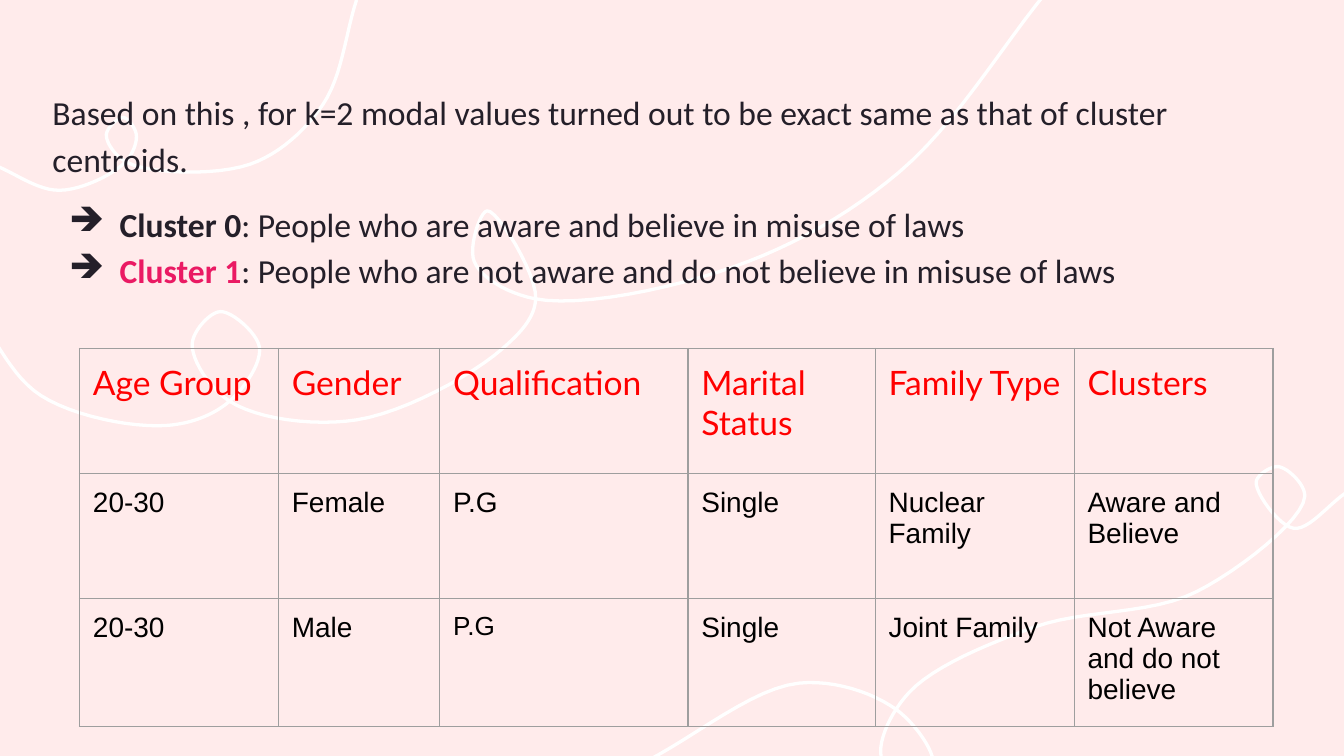
from math import dist
from lxml.etree import SubElement
from pptx import Presentation
from pptx.dml.color import RGBColor
from pptx.enum.text import MSO_ANCHOR
from pptx.oxml.ns import qn
from pptx.util import Pt

INK, PINK, RED, BLACK = "241F29", "EA1A63", "FF0000", "000000"
BACKGROUND, WHITE, GREY = "FFEBEB", "FFFFFF", "9E9E9E"

# Each paragraph: bulleted, space before, runs of (text, bold, colour)
PARAGRAPHS = [
    (False, 0, [("Based on this , for k=2 modal values turned out to be exact "
                 "same as that of cluster centroids.", False, INK)]),
    (True, 10, [("Cluster 0", True, INK),
                (": People who are aware and believe in misuse of laws", False, INK)]),
    (True, 0, [("Cluster 1", True, PINK),
               (": People who are not aware and do not believe in misuse of laws",
                False, INK)]),
]

COLUMN_WIDTHS = [106.6, 86.4, 133, 100.3, 106.6, 106.6]
ROW_HEIGHT = 67
ROWS = [
    ["Age Group", "Gender", "Qualification", "Marital Status", "Family Type", "Clusters"],
    ["20-30", "Female", "P.G", "Single", "Nuclear\nFamily", "Aware and Believe"],
    ["20-30", "Male", "P.G", "Single", "Joint Family", "Not Aware and do not believe"],
]
SMALLER_CELL = (2, 2)

# Looping lines: the points each smooth line passes through
CURVES = [
    [(-13, 168), (22, 212), (89, 228), (123, 215), (139, 186), (118, 167), (103, 184),
     (123, 215), (191, 225), (269, 187), (287, 160), (261, 113), (254, 140),
     (286, 160), (393, 143), (482, 92), (562, -6)],
    [(191, 0), (173, 56), (134, 88), (68, 87), (57, 72), (66, 63), (73, 72),
     (67, 87), (32, 102), (-4, 88)],
    [(721, 264), (693, 283), (673, 258), (685, 250), (699, 266), (641, 317), (554, 336),
     (487, 371), (472, 405), (487, 421), (500, 410), (480, 380), (428, 366), (346, 408)],
]
STEPS = 12


def color(value):
    return RGBColor.from_string(value)


def add_run(paragraph, text, size, font_name, font_color, bold=False):
    run = paragraph.add_run()
    run.text = text
    run.font.size = Pt(size)
    run.font.name = font_name
    run.font.bold = bold
    run.font.color.rgb = color(font_color)


def add_bullet(paragraph):
    properties = paragraph._p.get_or_add_pPr()
    properties.set("marL", str(Pt(36)))
    properties.set("indent", str(Pt(-27)))
    bullet_color = SubElement(properties, qn("a:buClr"))
    SubElement(bullet_color, qn("a:srgbClr"), val=INK)
    SubElement(properties, qn("a:buChar"), char="➔")


def reflect(point, center):
    return tuple(2 * c - p for p, c in zip(point, center))


def smooth(points):
    """Centripetal Catmull-Rom spline through the points."""
    padded = [reflect(points[1], points[0]), *points, reflect(points[-2], points[-1])]
    result = [points[0]]
    for first in range(len(points) - 1):
        controls = padded[first:first + 4]
        knots = [0]
        for start, end in zip(controls, controls[1:]):
            knots.append(knots[-1] + dist(start, end) ** 0.5)
        for step in range(1, STEPS + 1):
            t = knots[1] + (knots[2] - knots[1]) * step / STEPS
            level = controls
            for low, high in ((0, 1), (-1, 1), (0, 1)):
                span = 5 - len(level) if low == 0 else 2
                offset = 1 if len(level) == 2 else 0
                if len(level) == 2:
                    span = 1
                blended = []
                for index in range(len(level) - 1):
                    a, b = knots[index + offset], knots[index + offset + span]
                    share = (t - a) / (b - a)
                    blended.append(tuple(p + (q - p) * share
                                         for p, q in zip(level[index], level[index + 1])))
                level = blended
            result.append(level[0])
    return result


def add_curve(slide, points):
    vertices = [(Pt(x), Pt(y)) for x, y in smooth(points)]
    builder = slide.shapes.build_freeform(*vertices[0])
    builder.add_line_segments(vertices[1:], close=False)
    shape = builder.convert_to_shape()
    shape.shadow.inherit = False
    shape.fill.background()
    shape.line.color.rgb = color(WHITE)
    shape.line.width = Pt(1.75)


def set_borders(cell):
    properties = cell._tc.get_or_add_tcPr()
    for position, side in enumerate(("a:lnL", "a:lnR", "a:lnT", "a:lnB")):
        border = SubElement(properties, qn(side), w=str(Pt(0.75)))
        fill = SubElement(border, qn("a:solidFill"))
        SubElement(fill, qn("a:srgbClr"), val=GREY)
        properties.insert(position, border)


presentation = Presentation()
presentation.slide_width, presentation.slide_height = Pt(720), Pt(405)
slide = presentation.slides.add_slide(presentation.slide_layouts[6])
slide.background.fill.solid()
slide.background.fill.fore_color.rgb = color(BACKGROUND)

# Looping lines behind the content
for points in CURVES:
    add_curve(slide, points)

# Statement and cluster descriptions
frame = slide.shapes.add_textbox(Pt(21), Pt(39), Pt(650), Pt(130)).text_frame
frame.word_wrap = True
frame.vertical_anchor = MSO_ANCHOR.TOP
frame.margin_left = frame.margin_right = Pt(7.2)
frame.margin_top = frame.margin_bottom = Pt(7.2)
for index, (bulleted, space, runs) in enumerate(PARAGRAPHS):
    paragraph = frame.add_paragraph() if index else frame.paragraphs[0]
    if bulleted:
        add_bullet(paragraph)
    paragraph.line_spacing = 1.15
    paragraph.space_before = Pt(space)
    for text, bold, run_color in runs:
        add_run(paragraph, text, 18, "Calibri", run_color, bold)

# Table of modal values
table = slide.shapes.add_table(
    len(ROWS), len(COLUMN_WIDTHS), Pt(42.6), Pt(186.7),
    Pt(sum(COLUMN_WIDTHS)), Pt(ROW_HEIGHT * len(ROWS))).table
table.first_row = table.horz_banding = False
for column, width in zip(table.columns, COLUMN_WIDTHS):
    column.width = Pt(width)
for row_index, texts in enumerate(ROWS):
    table.rows[row_index].height = Pt(ROW_HEIGHT)
    for column_index, text in enumerate(texts):
        cell = table.cell(row_index, column_index)
        cell.fill.background()
        cell.margin_left = cell.margin_right = Pt(7.2)
        cell.margin_top = cell.margin_bottom = Pt(7.2)
        set_borders(cell)
        if row_index == 0:
            style = (18, "Lato", RED)
        else:
            size = 14 if (row_index, column_index) == SMALLER_CELL else 15
            style = (size, "Arial", BLACK)
        for index, line in enumerate(text.split("\n")):
            cell_frame = cell.text_frame
            paragraph = cell_frame.add_paragraph() if index else cell_frame.paragraphs[0]
            add_run(paragraph, line, *style)

presentation.save("out.pptx")
